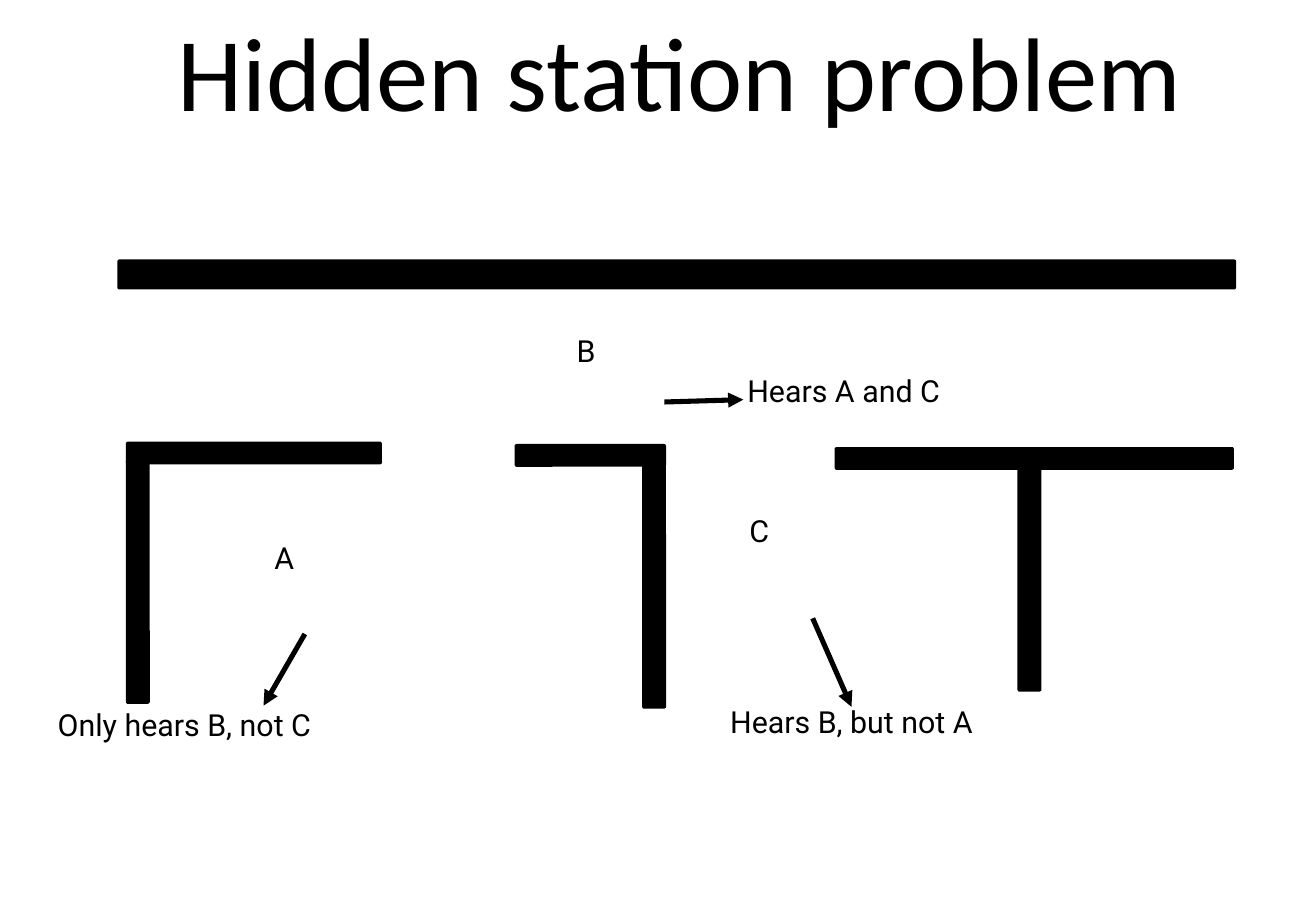
from pptx import Presentation
from pptx.dml.color import RGBColor
from pptx.enum.shapes import MSO_CONNECTOR as Connector, MSO_SHAPE as Shape
from pptx.enum.text import MSO_ANCHOR as Anchor, MSO_AUTO_SIZE as AutoSize, PP_ALIGN as Align
from pptx.oxml.ns import qn
from pptx.util import Pt
from lxml.etree import SubElement

BLACK = RGBColor(0, 0, 0)
TITLE_FONT, LABEL_FONT = "Calibri", "Roboto"
WALL = 11.5  # thickness of the room walls

# Each wall: left, top, width, height inside the floor plan
WALLS = [
    (40.6, 4.8, 661, 15.8),  # corridor
    (45.6, 112.8, 149.8, WALL),  # room A
    (45.6, 123.6, 12.2, 142.6),
    (276, 114.2, 87.8, WALL),  # between rooms A and C
    (351.6, 126.5, 12.2, 142.6),
    (465.7, 116, 120.2, WALL),  # right of room C
    (580.2, 116, 120.2, WALL),
    (574.1, 116.4, 12.2, 142.6),
]
# Each label: text, left, top, width
LABELS = [
    ("A", 132, 172.6, 13),
    ("B", 311.3, 50.2, 12.2),
    ("C", 413.5, 156.7, 13),
    ("Only hears B, not C", 0.2, 271.9, 158.4),
    ("Hears B, but not A", 400.6, 269.8, 148.3),
    ("Hears A and C", 411.4, 73.9, 117.4),
]
# Each arrow: start x, start y, end x, end y
ARROWS = [
    (150.7, 225.8, 126.2, 268.3),  # from A
    (451.7, 216.5, 474.7, 269),  # from C
    (363.8, 88.3, 410.6, 86.9),  # from B
]


def set_text(shape, text, font_name, size, inset):
    frame = shape.text_frame
    frame.text = text
    frame.vertical_anchor = Anchor.MIDDLE
    frame.margin_left = frame.margin_right = Pt(inset)
    frame.margin_top = frame.margin_bottom = Pt(inset)
    line = frame.paragraphs[0]
    line.alignment = Align.CENTER
    line.line_spacing = 0.84
    line.font.name = font_name
    line.font.size = Pt(size)
    line.font.color.rgb = BLACK
    return frame


def add_title(slide, left, top, width, height):
    title = slide.shapes.title
    title.left, title.top = Pt(left), Pt(top)
    title.width, title.height = Pt(width), Pt(height)
    frame = set_text(title, "Hidden station problem", TITLE_FONT, 62, 3)
    frame.auto_size = AutoSize.NONE


def add_wall(slide, left, top, width, height):
    wall = slide.shapes.add_shape(Shape.ROUNDED_RECTANGLE, Pt(left), Pt(top), Pt(width), Pt(height))
    wall.adjustments[0] = 0.01
    wall.shadow.inherit = False
    wall.fill.solid()
    wall.fill.fore_color.rgb = BLACK
    wall.line.color.rgb = BLACK
    wall.line.width = Pt(2)


def add_label(slide, text, left, top, width):
    label = slide.shapes.add_textbox(Pt(left), Pt(top), Pt(width), Pt(18.7))
    frame = set_text(label, text, LABEL_FONT, 18, 0)
    frame.word_wrap = False
    frame.auto_size = AutoSize.SHAPE_TO_FIT_TEXT


def add_arrow(slide, *ends):
    arrow = slide.shapes.add_connector(Connector.STRAIGHT, *map(Pt, ends))
    arrow.line.color.rgb = BLACK
    arrow.line.width = Pt(3)
    properties = arrow.element.spPr
    SubElement(properties.find(qn("a:ln")), qn("a:tailEnd"), type="triangle")
    SubElement(properties, qn("a:effectLst"))


def add_floor_plan(slide, left, top):
    # Walls
    for x, y, width, height in WALLS:
        add_wall(slide, left + x, top + y, width, height)
    # Stations and what they hear
    for text, x, y, width in LABELS:
        add_label(slide, text, left + x, top + y, width)
    # Arrows from each station to its caption
    for x1, y1, x2, y2 in ARROWS:
        add_arrow(slide, left + x1, top + y1, left + x2, top + y2)


def main():
    deck = Presentation()
    deck.slide_width, deck.slide_height = Pt(780), Pt(540)
    slide = deck.slides.add_slide(deck.slide_layouts.get_by_name("Title Only"))
    add_title(slide, 75.6, 0, 654.5, 95)
    add_floor_plan(slide, 30, 150)
    deck.save("out.pptx")


if __name__ == "__main__":
    main()
